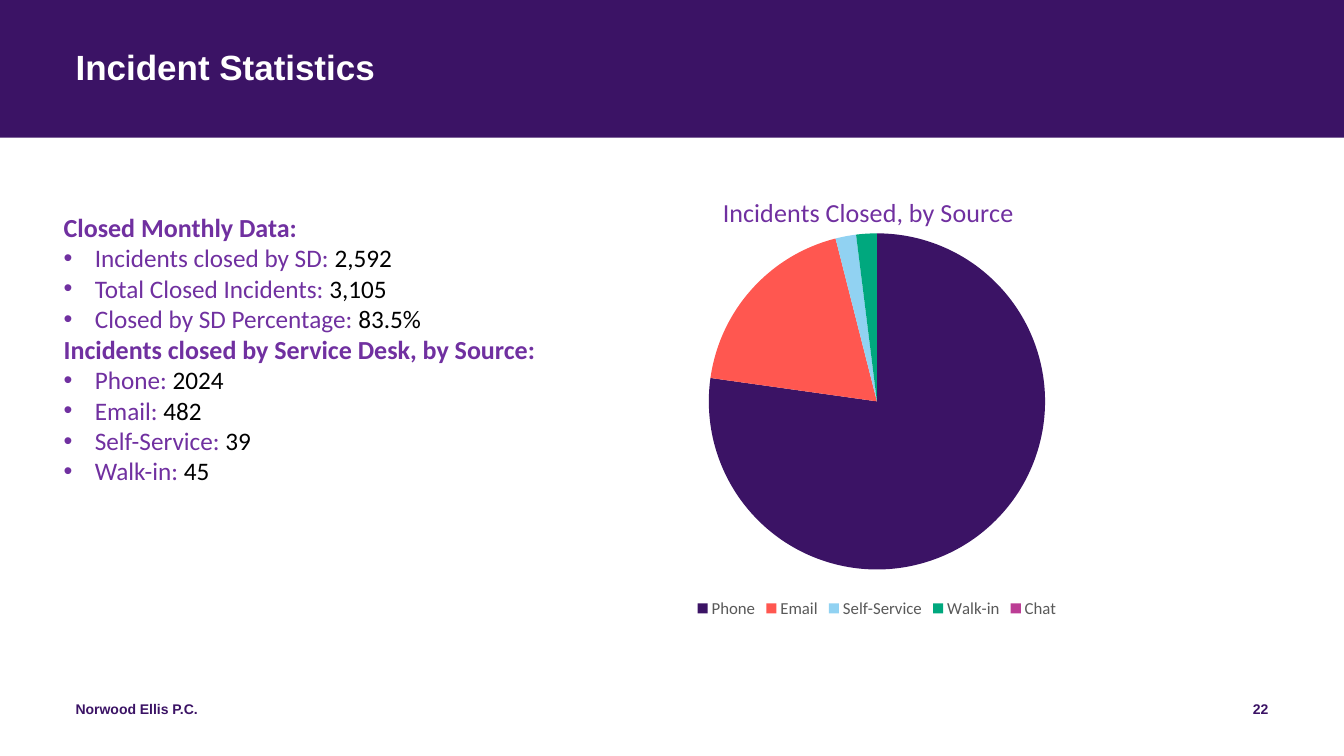
from lxml.etree import SubElement
from pptx import Presentation
from pptx.chart.data import CategoryChartData
from pptx.dml.color import RGBColor
from pptx.enum.chart import XL_CHART_TYPE as ChartType, XL_LEGEND_POSITION as LegendSpot
from pptx.enum.shapes import MSO_SHAPE as Shape
from pptx.enum.text import MSO_ANCHOR as Anchor, MSO_AUTO_SIZE as AutoSize, PP_ALIGN as Align
from pptx.oxml import parse_xml
from pptx.oxml.ns import nsdecls, qn
from pptx.util import Inches, Pt

COLUMNS, ROWS = 160, 90
INDIGO, PURPLE, BLACK, WHITE, GREY = "3B1365", "7030A0", "000000", "FFFFFF", "595959"


def color(hex_code):
    return RGBColor.from_string(hex_code)


class StatisticsSlide:
    """Holds the style and the current slide; places are in grid columns and rows."""

    heading_font, body_font = "Arial", "Calibri"

    def __init__(self, deck):
        self.column = deck.slide_width / COLUMNS
        self.row = deck.slide_height / ROWS
        self.slide = deck.slides.add_slide(deck.slide_layouts[5])
        self.shapes = self.slide.shapes

    def place(self, left, top, width, height):
        return [round(n) for n in (left * self.column, top * self.row,
                                   width * self.column, height * self.row)]

    def style(self, font, name, size, hex_code=None, bold=False):
        font.name, font.size, font.bold = name, Pt(size), bold
        if hex_code:
            font.color.rgb = color(hex_code)

    def frame(self, holder, margin=None):
        frame = holder.text_frame
        frame.word_wrap = True
        frame.auto_size = AutoSize.NONE
        frame.vertical_anchor = Anchor.TOP
        if margin is not None:
            frame.margin_left = frame.margin_right = margin
            frame.margin_top = frame.margin_bottom = margin
        return frame

    def band(self, *cells):
        band = self.shapes.add_shape(Shape.RECTANGLE, *self.place(*cells))
        band.shadow.inherit = False
        band.fill.solid()
        band.fill.fore_color.rgb = color(INDIGO)
        band.line.fill.background()
        self.shapes.element.insert(2, band.element)  # behind the title

    def title(self, text, *cells):
        title = self.shapes.title
        title.left, title.top, title.width, title.height = self.place(*cells)
        line = self.frame(title, 0).paragraphs[0]
        line.text = text
        line.alignment, line.line_spacing = Align.LEFT, 0.9
        self.style(line.font, self.heading_font, 25, WHITE, True)

    def footer(self, text, align, *cells):
        box = self.shapes.add_textbox(*self.place(*cells))
        line = self.frame(box, 0).paragraphs[0]
        line.text = text
        line.alignment, line.space_after = align, Pt(6)
        self.style(line.font, self.heading_font, 10, INDIGO, True)

    def bullet(self, line):
        properties = line._p.get_or_add_pPr()
        properties.set("marL", str(Inches(0.31)))
        properties.set("indent", str(Inches(-0.31)))
        SubElement(properties, qn("a:buFont"), typeface="Arial")
        SubElement(properties, qn("a:buChar"), char="•")

    def figures(self, sections, *cells):
        frame = self.frame(self.shapes.add_textbox(*self.place(*cells)))
        line = frame.paragraphs[0]
        for number, (heading, entries) in enumerate(sections):
            if number:
                line = frame.add_paragraph()
            line.text = heading
            self.style(line.font, self.body_font, 18.6, PURPLE, True)
            for label, value in entries:
                line = frame.add_paragraph()
                self.bullet(line)
                self.style(line.font, self.body_font, 18)
                for text, hex_code in ((f"{label}: ", PURPLE), (value, BLACK)):
                    run = line.add_run()
                    run.text = text
                    run.font.color.rgb = color(hex_code)

    def layout(self, part, after, inner=False, **shares):
        """Fix a chart part at shares of the chart's size."""
        for old in part.findall(qn("c:layout")):
            part.remove(old)
        target = '<c:layoutTarget val="inner"/>' if inner else ""
        modes = "".join(f'<c:{axis}Mode val="edge"/>' for axis in "xy")
        sizes = "".join(f'<c:{key} val="{share}"/>' for key, share in shares.items())
        layout = parse_xml(f'<c:layout {nsdecls("c")}><c:manualLayout>'
                           f'{target}{modes}{sizes}</c:manualLayout></c:layout>')
        if after is None:
            part.insert(0, layout)
        else:
            after.addnext(layout)

    def pie(self, heading, slices, *cells):
        data = CategoryChartData()
        data.categories = [source for source, _, _ in slices]
        data.add_series("Series 1", [share for _, share, _ in slices])
        chart = self.shapes.add_chart(ChartType.PIE, *self.place(*cells), data).chart
        self.style(chart.font, self.body_font, 10, BLACK)

        # Slices
        plot = chart.plots[0]
        plot.vary_by_categories = True
        for number, (_, _, hex_code) in enumerate(slices):
            fill = plot.series[0].points[number].format.fill
            fill.solid()
            fill.fore_color.rgb = color(hex_code)

        # Heading and legend
        chart.has_title = True
        line = chart.chart_title.text_frame.paragraphs[0]
        line.text = heading
        self.style(line.font, self.body_font, 18.6, PURPLE)
        chart.has_legend = True
        chart.legend.position = LegendSpot.BOTTOM
        chart.legend.include_in_layout = False
        self.style(chart.legend.font, self.body_font, 12, GREY)

        # Places inside the chart
        title = chart.chart_title._element
        self.layout(title, title.find(qn("c:tx")), x=0.33, y=0.06)
        self.layout(chart._chartSpace.chart.plotArea, None, inner=True,
                    x=0.32, y=0.15, w=0.36, h=0.74)


def main():
    deck = Presentation()
    deck.slide_width, deck.slide_height = Inches(13.33), Inches(7.5)
    page = StatisticsSlide(deck)

    # Header and footer
    page.band(0, 0, COLUMNS, 16.4)
    page.title("Incident Statistics", 9, 6, 142, 9.7)
    page.footer("Norwood Ellis P.C.", Align.LEFT, 9, 83.4, 54, 4.8)
    page.footer("22", Align.RIGHT, 115, 83.4, 36, 4.8)

    # Share of closed incidents by source
    page.pie("Incidents Closed, by Source", [
        ("Phone", 78, INDIGO),
        ("Email", 19, "FF5750"),
        ("Self-Service", 2, "91D2F2"),
        ("Walk-in", 2, "00A87E"),
        ("Chat", 0, "BC3D95"),
    ], 48.8, 19.3, 111.2, 54.8)

    # Monthly figures
    page.figures([
        ("Closed Monthly Data:", [
            ("Incidents closed by SD", "2,592"),
            ("Total Closed Incidents", "3,105"),
            ("Closed by SD Percentage", "83.5%"),
        ]),
        ("Incidents closed by Service Desk, by Source:", [
            ("Phone", "2024"),
            ("Email", "482"),
            ("Self-Service", "39"),
            ("Walk-in", "45"),
        ]),
    ], 6.4, 24.6, 59.4, 37.4)

    deck.save("out.pptx")


if __name__ == "__main__":
    main()
